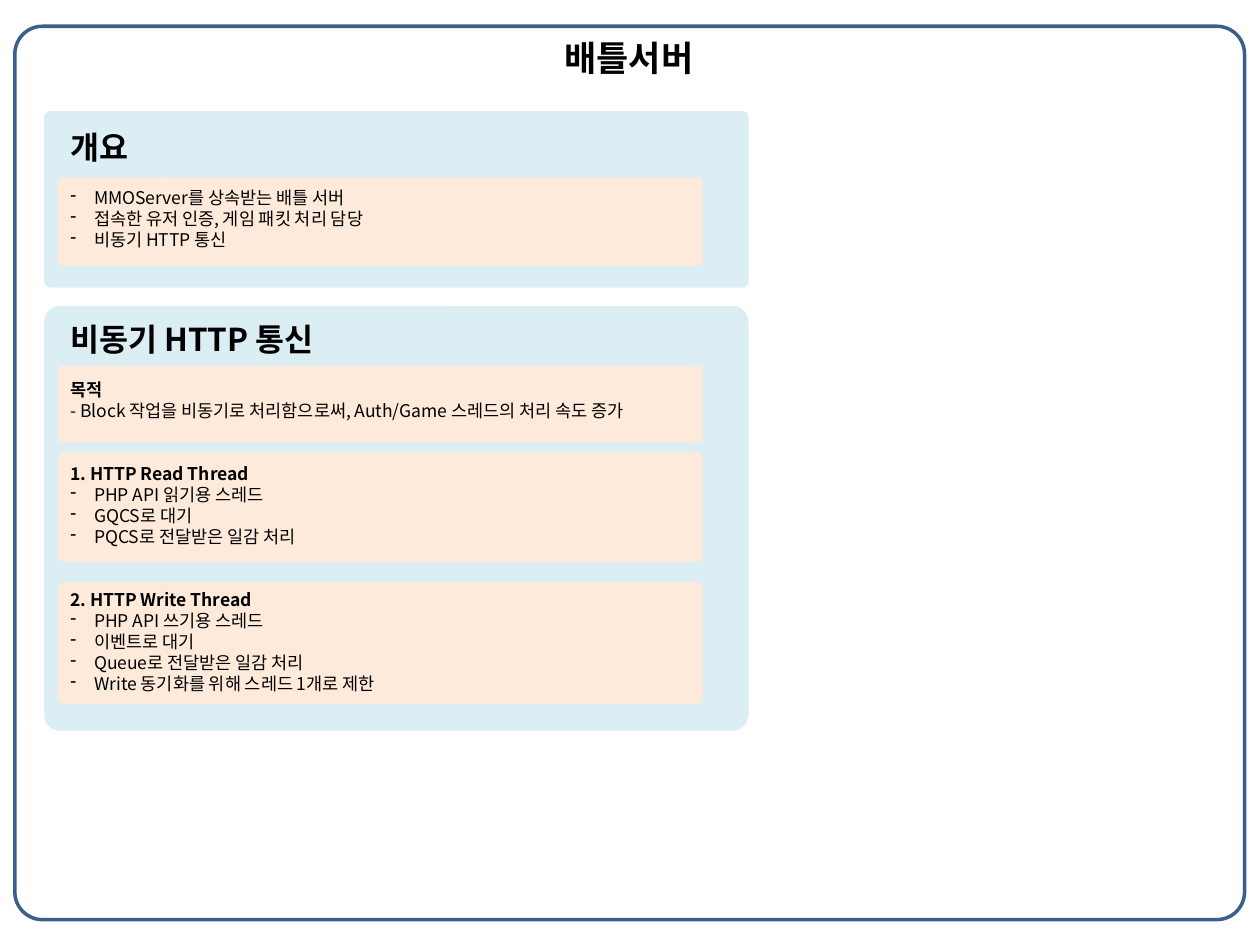
from lxml import etree
from pptx import Presentation
from pptx.dml.color import RGBColor
from pptx.enum.shapes import MSO_SHAPE
from pptx.enum.text import MSO_ANCHOR, MSO_AUTO_SIZE, PP_ALIGN
from pptx.oxml.ns import qn
from pptx.util import Cm, Pt

ROUNDED = MSO_SHAPE.ROUNDED_RECTANGLE
TOP, LEFT, NO_FIT = MSO_ANCHOR.TOP, PP_ALIGN.LEFT, MSO_AUTO_SIZE.NONE
FONT = "Noto Sans CJK KR"
COLORS = {"text": "000000", "panel": "DBEEF4", "card": "FDEADA", "frame": "3A5F8C"}

# Content: groups hold a bold lead, plain lines and bullets
TITLE = "배틀서버"
SECTIONS = [
    {"heading": "개요", "top": 2.24, "height": 3.56, "text_top": 2.46,
     "cards": [(3.58, 1.78)],
     "groups": [
         {"bullets": ["MMOServer를 상속받는 배틀 서버",
                      "접속한 유저 인증, 게임 패킷 처리 담당",
                      "비동기 HTTP 통신"]}]},
    {"heading": "비동기 HTTP 통신", "top": 6.17, "height": 8.56, "text_top": 6.32,
     "cards": [(7.37, 1.55), (9.12, 2.21), (11.73, 2.46)],
     "groups": [
         {"lead": "목적",
          "lines": ["- Block 작업을 비동기로 처리함으로써, Auth/Game 스레드의 처리 속도 증가"]},
         {"lead": "1. HTTP Read Thread",
          "bullets": ["PHP API 읽기용 스레드", "GQCS로 대기", "PQCS로 전달받은 일감 처리"]},
         {"lead": "2. HTTP Write Thread",
          "bullets": ["PHP API 쓰기용 스레드", "이벤트로 대기", "Queue로 전달받은 일감 처리",
                      "Write 동기화를 위해 스레드 1개로 제한"]}]},
]

# Formats
PANEL_LEFT, PANEL_WIDTH = 0.89, 14.2
CARD_LEFT, CARD_WIDTH, TEXT_WIDTH = 1.17, 13.0, 12.73
BODY_SIZE, LINE_FACTOR, INDENT = 10, 1.2, 0.48
LINE_HEIGHT = BODY_SIZE * LINE_FACTOR
FRAME_FORMAT = {"word_wrap": True, "auto_size": NO_FIT, "vertical_anchor": TOP,
                "margin_left": Cm(0.25), "margin_right": Cm(0.25),
                "margin_top": Cm(0.13), "margin_bottom": Cm(0.13)}


def color(name):
    return RGBColor.from_string(COLORS[name])


def apply(target, values):
    for key, value in values.items():
        setattr(target, key, value)


def rounded(left, top, width, height, corner, fill=None):
    box = slide.shapes.add_shape(ROUNDED, Cm(left), Cm(top), Cm(width), Cm(height))
    box.shadow.inherit = False
    box.adjustments[0] = corner
    if fill:
        box.fill.solid()
        box.fill.fore_color.rgb = color(fill)
        box.line.fill.background()
    else:
        box.fill.background()
    return box


def write(paragraph, text, size=BODY_SIZE, bold=False, before=0, bullet=False):
    apply(paragraph, {"alignment": LEFT, "line_spacing": Pt(size * LINE_FACTOR),
                      "space_before": Pt(before), "space_after": Pt(0)})
    run = paragraph.add_run()
    run.text = text
    apply(run.font, {"name": FONT, "size": Pt(size), "bold": bold})
    run.font.color.rgb = color("text")
    etree.SubElement(run.font._element, qn("a:ea")).set("typeface", FONT)
    if bullet:
        properties = paragraph._p.get_or_add_pPr()
        properties.set("marL", str(Cm(INDENT)))
        properties.set("indent", str(-Cm(INDENT)))
        etree.SubElement(properties, qn("a:buChar")).set("char", "-")


def section_lines(section):
    yield section["heading"], {"size": 18, "bold": True}
    for number, group in enumerate(section["groups"]):
        gap = LINE_HEIGHT * (2 if number else 1)
        lines = [(group["lead"], {"bold": True})] if "lead" in group else []
        lines += [(line, {}) for line in group.get("lines", [])]
        lines += [(line, {"bullet": True}) for line in group.get("bullets", [])]
        for position, (line, style) in enumerate(lines):
            yield line, {**style, "before": 0 if position else gap}


presentation = Presentation()
presentation.slide_width, presentation.slide_height = Cm(25.4), Cm(19.05)
slide = presentation.slides.add_slide(presentation.slide_layouts[5])

# Title
title = slide.shapes.title
apply(title, {"left": Cm(11.13), "top": Cm(0.61), "width": Cm(3.35), "height": Cm(1.12)})
apply(title.text_frame, {**FRAME_FORMAT, "word_wrap": False})
write(title.text_frame.paragraphs[0], TITLE, size=20, bold=True)

# Sections: panel, cards, text
for section in SECTIONS:
    rounded(PANEL_LEFT, section["top"], PANEL_WIDTH, section["height"], 0.037, "panel")
    for top, height in section["cards"]:
        rounded(CARD_LEFT, top, CARD_WIDTH, height, 0.061, "card")
    text_height = section["top"] + section["height"] - section["text_top"]
    body = slide.shapes.add_textbox(Cm(CARD_LEFT), Cm(section["text_top"]),
                                    Cm(TEXT_WIDTH), Cm(text_height - 0.54)).text_frame
    apply(body, FRAME_FORMAT)
    for index, (line, style) in enumerate(section_lines(section)):
        write(body.add_paragraph() if index else body.paragraphs[0], line, **style)

# Outer frame
frame = rounded(0.3, 0.53, 24.79, 18.01, 0.031)
frame.line.color.rgb = color("frame")
frame.line.width = Pt(2)

presentation.save("out.pptx")
